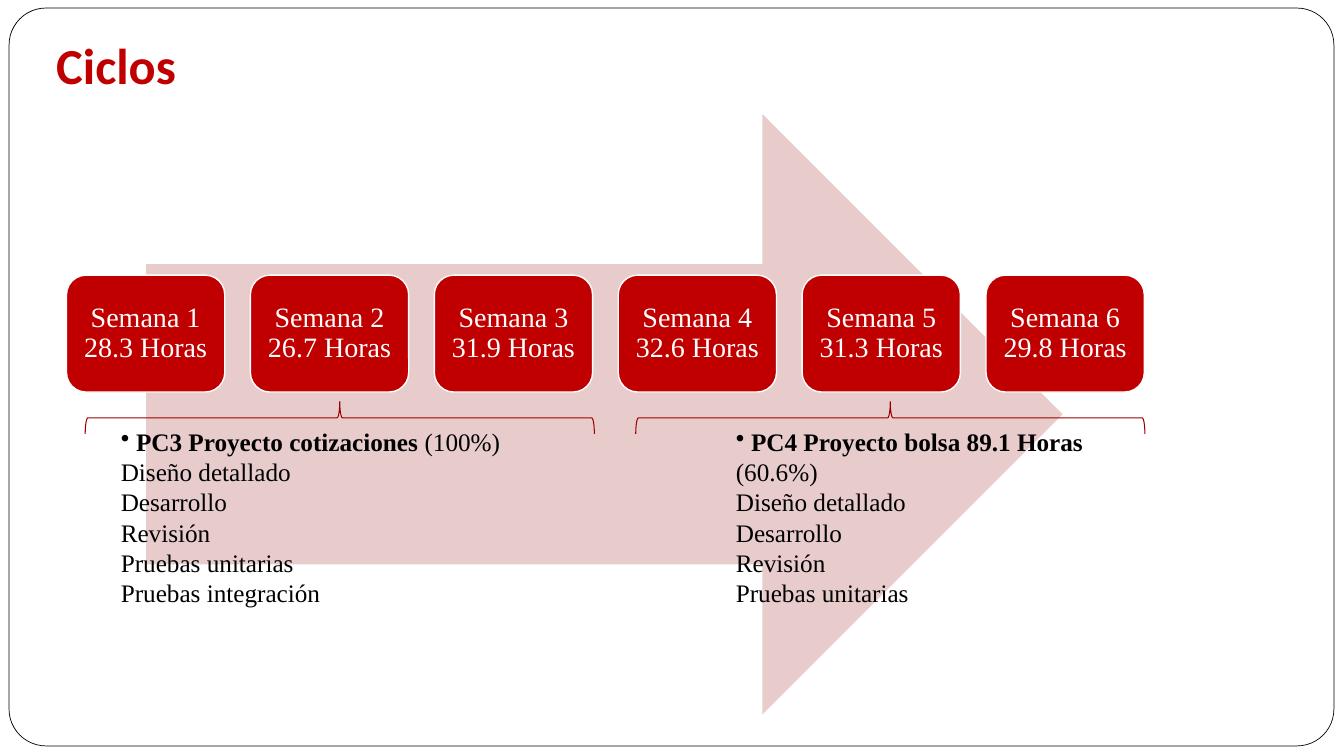
import pptx
import pptx.util
import pptx.dml.color
import pptx.enum.shapes
import pptx.enum.text
import pptx.oxml.ns
import lxml.etree

Inches = pptx.util.Inches
Pt = pptx.util.Pt
RGBColor = pptx.dml.color.RGBColor
SHAPE = pptx.enum.shapes.MSO_SHAPE
ALIGN = pptx.enum.text.PP_ALIGN
ANCHOR = pptx.enum.text.MSO_ANCHOR

WHITE = RGBColor(0xFF, 0xFF, 0xFF)
BLACK = RGBColor(0x00, 0x00, 0x00)
RED = RGBColor(0xC0, 0x00, 0x00)
DARK_RED = RGBColor(0x9A, 0x00, 0x00)
PINK = RGBColor(0xE8, 0xCC, 0xCC)

HEADING_FONT = "Calibri"
BODY_FONT = "Times New Roman"

WEEK_HOURS = ["28.3", "26.7", "31.9", "32.6", "31.3", "29.8"]
WEEK_LEFT = 0.66
WEEK_STEP = 1.824
TASKS = ["Diseño detallado", "Desarrollo", "Revisión", "Pruebas unitarias"]
CYCLES = [
    (1.1, 1.92, 3.21, " PC3 Proyecto cotizaciones ", "(100%)", TASKS + ["Pruebas integración"]),
    (7.2, 1.62, 8.67, " PC4 Proyecto bolsa 89.1 Horas ", "(60.6%)", TASKS),
]


def add_figure(page, kind, bounds, fill=None, line=None, width=1):
    shape = page.shapes.add_shape(kind, *map(Inches, bounds))
    shape.shadow.inherit = False
    if fill is None:
        shape.fill.background()
    else:
        shape.fill.solid()
        shape.fill.fore_color.rgb = fill
    if line is None:
        shape.line.fill.background()
    else:
        shape.line.color.rgb = line
        shape.line.width = Pt(width)
    return shape


def add_text_box(page, bounds):
    box = page.shapes.add_textbox(*map(Inches, bounds))
    box.text_frame.word_wrap = True
    return box


def add_span(para, text, size, color, font=BODY_FONT, bold=False):
    span = para.add_run()
    span.text = text
    span.font.size = Pt(size)
    span.font.name = font
    span.font.bold = bold
    span.font.color.rgb = color


def add_bullet(para):
    properties = para._p.get_or_add_pPr()
    bullet = lxml.etree.SubElement(properties, pptx.oxml.ns.qn("a:buChar"))
    bullet.set("char", "•")


def add_title(page, text):
    box = add_text_box(page, (0.46, 0.23, 2.13, 0.81))
    frame = box.text_frame
    frame.vertical_anchor = ANCHOR.BOTTOM
    frame.margin_bottom = Inches(0.1)
    add_span(frame.paragraphs[0], text, 36, RED, HEADING_FONT, True)


def add_week(page, index, hours):
    left = WEEK_LEFT + index * WEEK_STEP
    card = add_figure(page, SHAPE.ROUNDED_RECTANGLE, (left, 2.73, 1.57, 1.16), RED, WHITE)
    frame = card.text_frame
    frame.word_wrap = True
    frame.vertical_anchor = ANCHOR.MIDDLE
    frame.margin_left = frame.margin_right = Inches(0.08)
    frame.margin_top = frame.margin_bottom = Inches(0.08)
    para = frame.paragraphs[0]
    para.alignment = ALIGN.CENTER
    para.line_spacing = 0.9
    add_span(para, f"Semana {index + 1} {hours} Horas", 20, WHITE)


def add_cycle(page, left, height, project, progress, tasks):
    box = add_text_box(page, (left, 4.18, 4.33, height))
    frame = box.text_frame
    frame.auto_size = pptx.enum.text.MSO_AUTO_SIZE.SHAPE_TO_FIT_TEXT
    heading = frame.paragraphs[0]
    add_bullet(heading)
    add_span(heading, project, 18, BLACK, bold=True)
    add_span(heading, progress, 18, BLACK)
    for task in tasks:
        add_span(frame.add_paragraph(), task, 18, BLACK)


def add_brace(page, left):
    brace = add_figure(page, SHAPE.RIGHT_BRACE, (left, 1.62, 0.32, 5.05), line=DARK_RED, width=0.75)
    brace.rotation = 270


def main():
    deck = pptx.Presentation()
    deck.slide_width = Inches(13.33)
    deck.slide_height = Inches(7.5)
    page = deck.slides.add_slide(deck.slide_layouts[6])

    border = add_figure(page, SHAPE.ROUNDED_RECTANGLE, (0.09, 0.08, 13.14, 7.32), WHITE, BLACK, 0.5)
    border.adjustments[0] = 0.05
    add_title(page, "Ciclos")
    add_figure(page, SHAPE.RIGHT_ARROW, (1.45, 1.13, 9.09, 5.96), PINK)
    for index, hours in enumerate(WEEK_HOURS):
        add_week(page, index, hours)
    for left, height, brace_left, project, progress, tasks in CYCLES:
        add_cycle(page, left, height, project, progress, tasks)
        add_brace(page, brace_left)

    deck.save("out.pptx")


if __name__ == "__main__":
    main()
